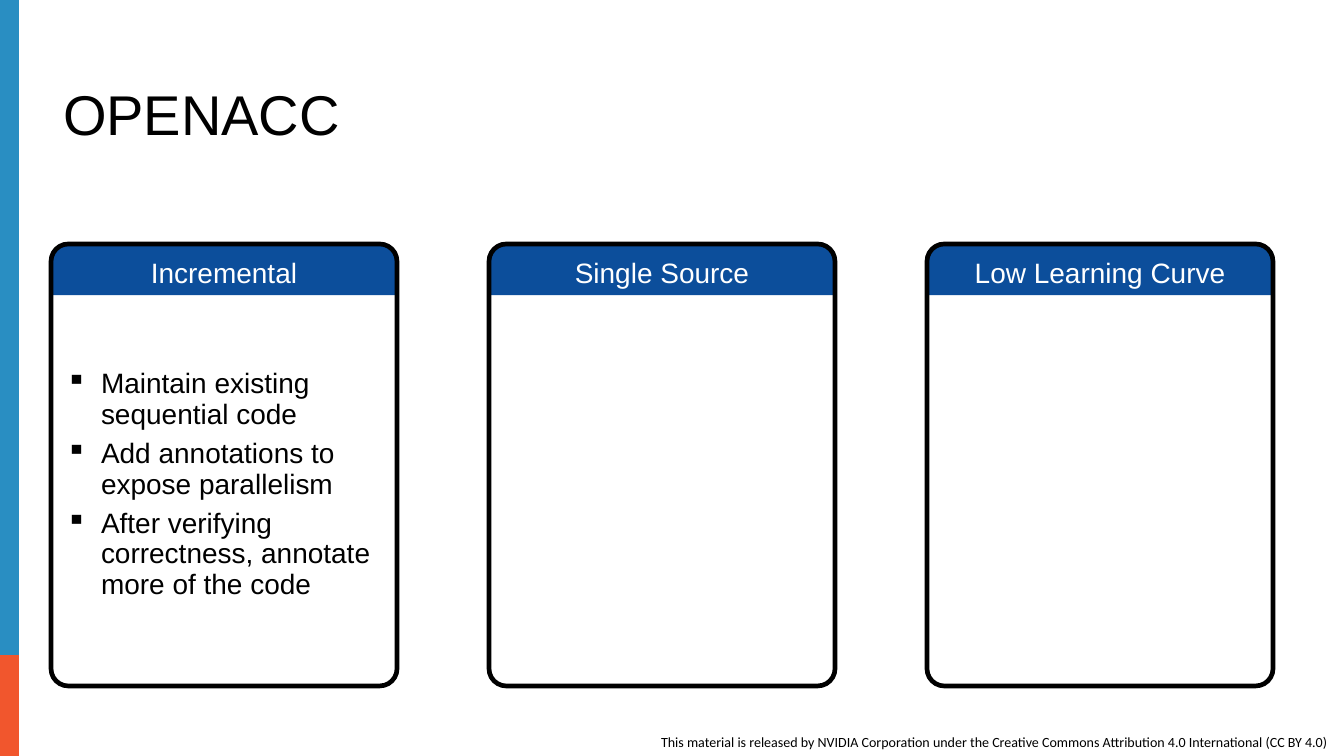
from dataclasses import dataclass

from lxml import etree
from pptx import Presentation
from pptx.dml.color import RGBColor
from pptx.enum import shapes, text
from pptx.oxml import ns
from pptx.util import Emu, Pt

EMU_PER_PX = 914400 / 112


@dataclass(frozen=True)
class Theme:
    ink: RGBColor = RGBColor(0, 0, 0)
    paper: RGBColor = RGBColor(255, 255, 255)
    header: RGBColor = RGBColor.from_string("0C4E9B")
    blue: RGBColor = RGBColor.from_string("298EC2")
    orange: RGBColor = RGBColor.from_string("F1562D")
    font: str = "Arial"
    credit_font: str = "Calibri"
    title_size: int = 36
    body_size: int = 18
    credit_size: int = 9


THEME = Theme()
SLIDE_SIZE = (1344, 756)
CARD_LEFT, CARD_TOP, CARD_PITCH = 51, 244, 438
CARD_WIDTH, CARD_HEIGHT, HEADER_HEIGHT = 346, 442, 51
CARD_TITLES = ["Incremental", "Single Source", "Low Learning Curve"]
STEPS = [
    "Maintain existing sequential code",
    "Add annotations to expose parallelism",
    "After verifying correctness, annotate more of the code",
]
CREDIT = (
    "This material is released by NVIDIA Corporation under the "
    "Creative Commons Attribution 4.0 International (CC BY 4.0)"
)


def px(length):
    return Emu(round(length * EMU_PER_PX))


def add_run(paragraph, words, size, color=THEME.ink, font=THEME.font):
    run = paragraph.add_run()
    run.text = words
    run.font.name = font
    run.font.size = Pt(size)
    run.font.color.rgb = color


def add_panel(slide, kind, box, fill=None, corners=()):
    panel = slide.shapes.add_shape(kind, *map(px, box))
    panel.shadow.inherit = False
    for index, corner in enumerate(corners):
        panel.adjustments[index] = corner
    if fill is None:
        panel.fill.background()
        panel.line.color.rgb = THEME.ink
        panel.line.width = Pt(3)
    else:
        panel.fill.solid()
        panel.fill.fore_color.rgb = fill
        panel.line.fill.background()
    return panel


def add_text_frame(slide, box, anchor, wrap=True):
    frame = slide.shapes.add_textbox(*map(px, box)).text_frame
    frame.word_wrap = wrap
    frame.vertical_anchor = anchor
    return frame


def add_card(slide, index, title):
    left = CARD_LEFT + index * CARD_PITCH
    header = add_panel(
        slide, shapes.MSO_SHAPE.SNIP_2_SAME_RECTANGLE,
        (left, CARD_TOP, CARD_WIDTH, HEADER_HEIGHT), THEME.header, (0.22, 0),
    )
    header.text_frame.vertical_anchor = text.MSO_ANCHOR.MIDDLE
    heading = header.text_frame.paragraphs[0]
    heading.alignment = text.PP_ALIGN.CENTER
    add_run(heading, title, THEME.body_size, THEME.paper)
    add_panel(
        slide, shapes.MSO_SHAPE.ROUNDED_RECTANGLE,
        (left, CARD_TOP, CARD_WIDTH, CARD_HEIGHT), corners=(0.05,),
    )


def add_bullets(slide, box, items):
    frame = add_text_frame(slide, box, text.MSO_ANCHOR.MIDDLE)
    for index, item in enumerate(items):
        paragraph = frame.add_paragraph() if index else frame.paragraphs[0]
        properties = paragraph._p.get_or_add_pPr()
        properties.set("marL", str(px(35)))
        properties.set("indent", str(px(-35)))
        etree.SubElement(properties, ns.qn("a:buChar")).set("char", "▪")
        paragraph.line_spacing = 0.9
        if index:
            paragraph.space_before = Pt(6)
        add_run(paragraph, item, THEME.body_size)


def add_title(slide, box, words):
    frame = add_text_frame(slide, box, text.MSO_ANCHOR.BOTTOM)
    frame.paragraphs[0].line_spacing = 0.9
    add_run(frame.paragraphs[0], words, THEME.title_size)


def add_credit(slide, box, words):
    frame = add_text_frame(slide, box, text.MSO_ANCHOR.TOP, wrap=False)
    add_run(frame.paragraphs[0], words, THEME.credit_size, font=THEME.credit_font)


def main():
    deck = Presentation()
    deck.slide_width, deck.slide_height = map(px, SLIDE_SIZE)
    slide = deck.slides.add_slide(deck.slide_layouts[6])
    bar = shapes.MSO_SHAPE.RECTANGLE
    add_panel(slide, bar, (0, 655, 19, 101), THEME.orange)
    add_panel(slide, bar, (0, 0, 19, 655), THEME.blue)
    add_credit(slide, (650, 728, 694, 28), CREDIT)
    add_title(slide, (52, 80, 1222, 73), "OPENACC")
    for index, title in enumerate(CARD_TITLES):
        add_card(slide, index, title)
    add_bullets(slide, (55, 363, 346, 244), STEPS)
    deck.save("out.pptx")


if __name__ == "__main__":
    main()
